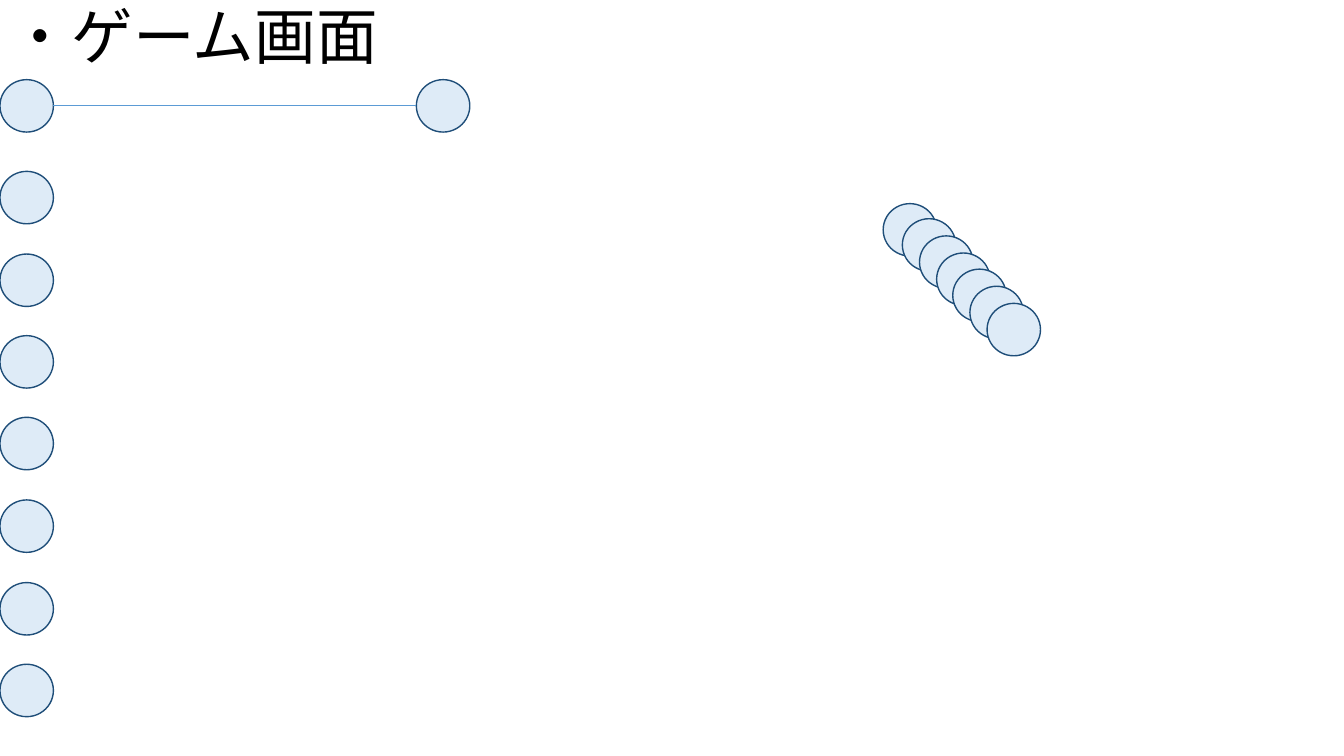
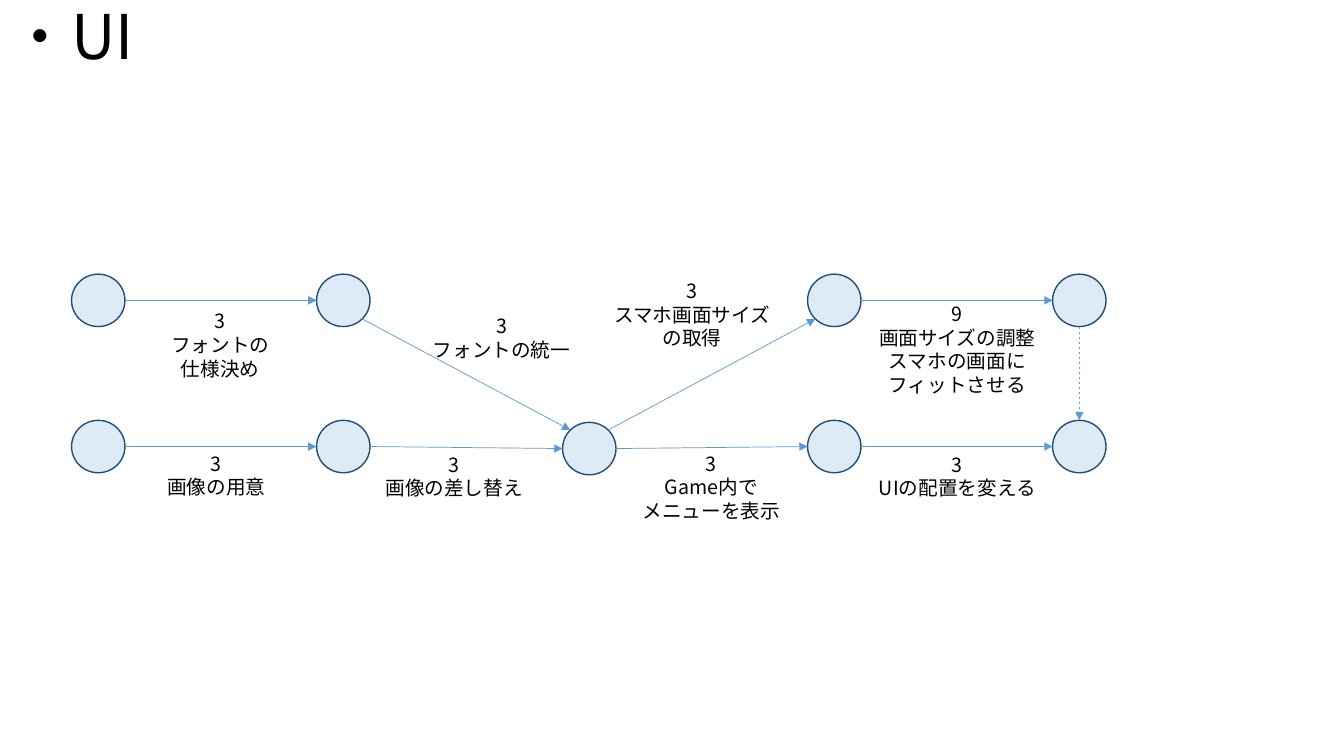
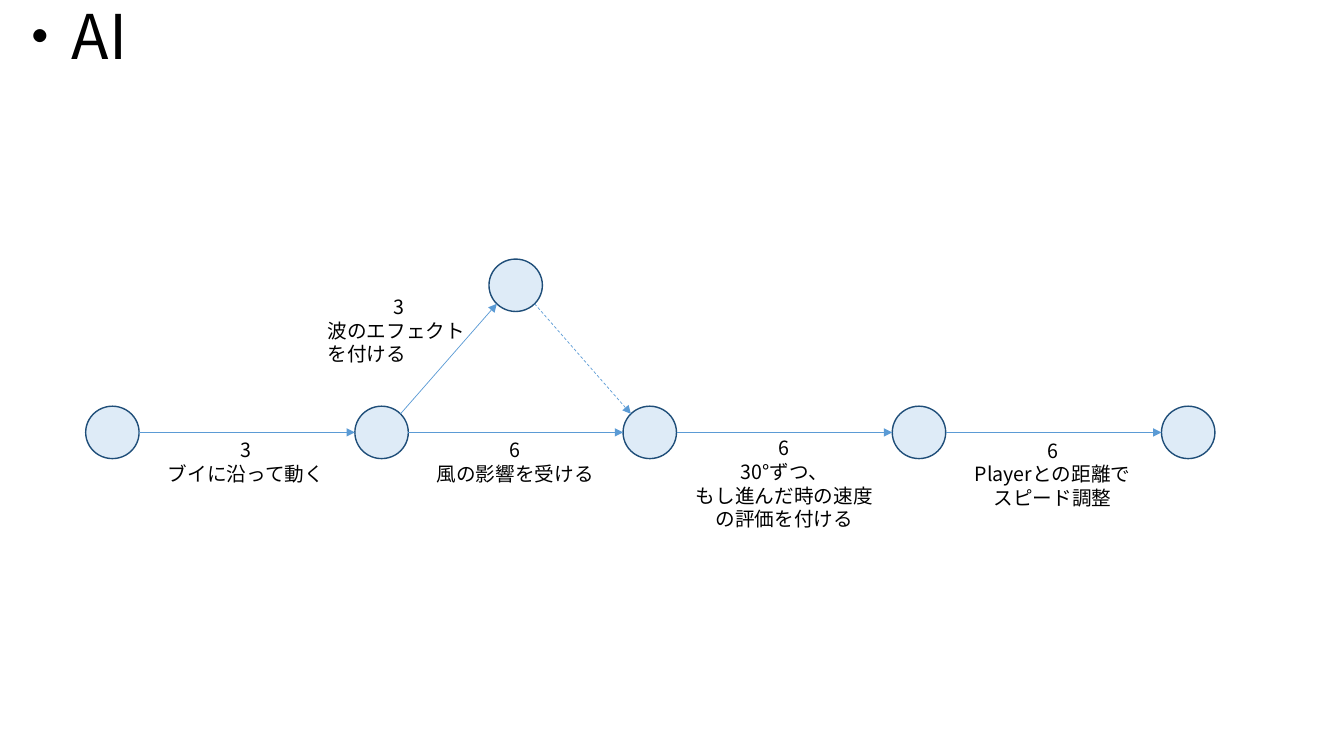
import math
from lxml import etree
from pptx import Presentation
from pptx import util as u
from pptx.dml.color import RGBColor
from pptx.enum import dml, lang, shapes, text
from pptx.oxml import ns

PX = 9144  # 100 px to the inch
LEFT, LOWER_RIGHT, BOTTOM, RIGHT, UPPER_RIGHT = 2, 5, 4, 6, 7
TOP, UPPER_LEFT, LOWER_LEFT = 0, 1, 3


def px(n):
    return u.Emu(n * PX)


def rgb(value):
    return RGBColor.from_string(value)


class Deck:
    """Shared style and the slide being filled."""
    FONT = "Noto Sans CJK JP"
    INK, NODE_FILL, NODE_LINE, ARROW = "000000", "DEEBF7", "1F4E79", "5B9BD5"
    NODE_W, NODE_H = 53, 52

    def __init__(self):
        self.prs = Presentation()
        self.prs.slide_width, self.prs.slide_height = px(1333), px(750)

    def slide(self, title):
        self.s = self.prs.slides.add_slide(self.prs.slide_layouts[6])
        tf = self.text(0, 0, 410, 79, [title], 44)
        tf.vertical_anchor = text.MSO_ANCHOR.MIDDLE
        tf.paragraphs[0].line_spacing = 0.9

    def text(self, x, y, w, h, lines, size):
        tf = self.s.shapes.add_textbox(px(x), px(y), px(w), px(h)).text_frame
        tf.word_wrap = True
        tf.text = "\n".join(lines)
        for p in tf.paragraphs:
            for r in p.runs:
                f = r.font
                f.size, f.name = u.Pt(size), self.FONT
                f.color.rgb = rgb(self.INK)
                f.language_id = lang.MSO_LANGUAGE_ID.JAPANESE
                ea = etree.SubElement(r._r.get_or_add_rPr(), ns.qn("a:ea"))
                ea.set("typeface", self.FONT)
        return tf

    def label(self, x, y, w, h, *lines):
        tf = self.text(x, y, w, h, lines, 14)
        tf.auto_size = text.MSO_AUTO_SIZE.SHAPE_TO_FIT_TEXT
        for p in tf.paragraphs:
            p.alignment = text.PP_ALIGN.CENTER
        return tf

    def node(self, x, y):
        sp = self.s.shapes.add_shape(shapes.MSO_SHAPE.OVAL, px(x), px(y),
                                     px(self.NODE_W), px(self.NODE_H))
        sp.shadow.inherit = False
        sp.fill.solid()
        sp.fill.fore_color.rgb = rgb(self.NODE_FILL)
        sp.line.color.rgb = rgb(self.NODE_LINE)
        sp.line.width = u.Pt(1)
        return sp

    def site(self, sp, idx):
        """Point of an ellipse's connection site: 0 top, then anticlockwise."""
        a = math.radians(90 + 45 * idx)
        return (round(sp.left + sp.width / 2 * (1 + math.cos(a))),
                round(sp.top + sp.height / 2 * (1 - math.sin(a))))

    def link(self, a, b, start=RIGHT, end=LEFT, arrow=True, dashed=False):
        c = self.s.shapes.add_connector(shapes.MSO_CONNECTOR.STRAIGHT,
                                        *self.site(a, start), *self.site(b, end))
        c.line.color.rgb = rgb(self.ARROW)
        c.line.width = u.Pt(0.5)
        if dashed:
            c.line.dash_style = dml.MSO_LINE.DASH
        if arrow:
            tail = etree.SubElement(c.line._get_or_add_ln(), ns.qn("a:tailEnd"))
            tail.set("type", "triangle")
        etree.SubElement(c._element.spPr, ns.qn("a:effectLst"))
        # Join to the ellipses, which have eight sites
        props = c._element.nvCxnSpPr.cNvCxnSpPr
        for tag, sp, idx in (("a:stCxn", a, start), ("a:endCxn", b, end)):
            join = etree.SubElement(props, ns.qn(tag))
            join.set("id", str(sp.shape_id))
            join.set("idx", str(idx))


def game_screen(d):
    d.slide("・ゲーム画面")
    # Linked pair
    first, second = d.node(0, 79), d.node(413, 79)
    d.link(first, second, arrow=False)
    # Column at the left edge
    for i in range(7):
        d.node(0, round(170 + 81.5 * i))
    # Overlapping diagonal
    d.node(876, 202)
    for i in range(6):
        d.node(895 + round(16.8 * i), 217 + round(16.8 * i))


def ui(d):
    d.slide("・UI")
    xs = [round(71 + 243.25 * i) for i in range(5)]
    top = {i: d.node(xs[i], 272) for i in (0, 1, 3, 4)}
    low = [d.node(x, 419 if i == 2 else 417) for i, x in enumerate(xs)]
    hub = low[2]
    # Arrows
    for a, b in [(top[0], top[1]), (top[3], top[4]), *zip(low, low[1:])]:
        d.link(a, b)
    d.link(top[1], hub, LOWER_RIGHT, UPPER_LEFT)
    d.link(hub, top[3], UPPER_RIGHT, LOWER_LEFT)
    d.link(top[4], low[4], BOTTOM, TOP, dashed=True)
    # Days and tasks
    for x, y, h, *lines in [
        (123, 302, 81, "3", "フォントの", "仕様決め"),
        (402, 307, 57, "3", "フォントの統一"),
        (591, 272, 81, "3", "スマホ画面サイズの取得"),
        (854, 295, 104, "9", "画面サイズの調整", "スマホの画面にフィットさせる"),
        (119, 443, 57, "3", "画像の用意"),
        (355, 444, 57, "3", "画像の差し替え"),
        (610, 443, 81, "3", "Game内で", "メニューを表示"),
        (854, 444, 57, "3", "UIの配置を変える"),
    ]:
        d.label(x, y, 191, h, *lines)


def ai(d):
    d.slide("・AI")
    row = [d.node(round(85 + 266.75 * i), 403) for i in range(5)]
    wave = d.node(485, 257)
    # Arrows
    for a, b in zip(row, row[1:]):
        d.link(a, b)
    d.link(row[1], wave, UPPER_RIGHT, LOWER_LEFT)
    d.link(wave, row[2], LOWER_RIGHT, UPPER_LEFT, dashed=True)
    # Days and tasks
    for x, y, h, *lines in [
        (137, 430, 57, "3", "ブイに沿って動く"),
        (404, 430, 57, "6", "風の影響を受ける"),
        (671, 428, 104, "6", "30°ずつ、", "もし進んだ時の速度の評価を付ける"),
        (937, 430, 81, "6", "Playerとの距離で", "スピード調整"),
    ]:
        d.label(x, y, 214, h, *lines)
    tf = d.label(315, 288, 162, 81, "3", "波のエフェクトを付ける")
    tf.paragraphs[1].alignment = text.PP_ALIGN.LEFT


def main():
    d = Deck()
    for build in (game_screen, ui, ai):
        build(d)
    d.prs.save("out.pptx")


if __name__ == "__main__":
    main()
